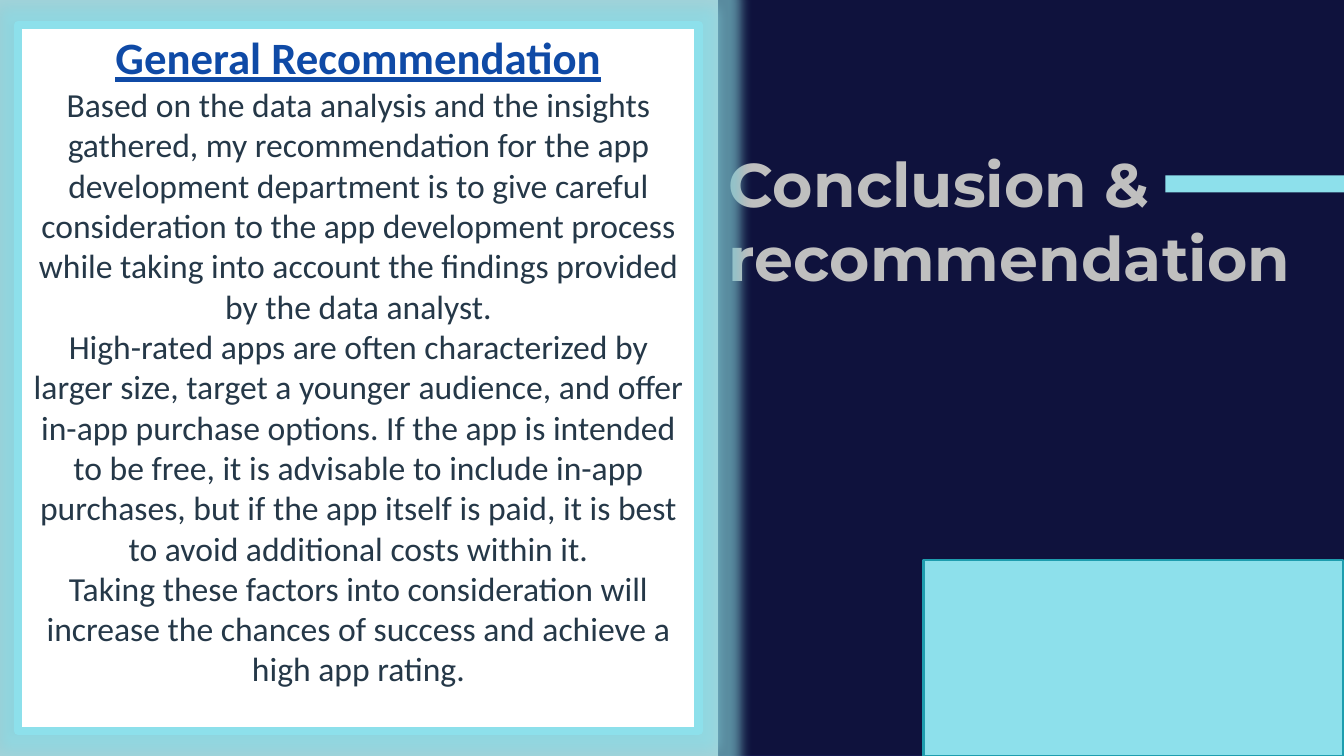
from dataclasses import dataclass

from pptx import Presentation
from pptx.dml.color import RGBColor
from pptx.enum.shapes import MSO_SHAPE
from pptx.enum.text import MSO_ANCHOR, MSO_AUTO_SIZE, PP_ALIGN
from pptx.oxml import parse_xml
from pptx.oxml.ns import nsdecls, qn
from pptx.util import Inches, Pt

RECT = MSO_SHAPE.RECTANGLE
TOP = MSO_ANCHOR.TOP
NO_FIT = MSO_AUTO_SIZE.NONE
LEFT, CENTER = PP_ALIGN.LEFT, PP_ALIGN.CENTER
TITLE_ONLY = 5


@dataclass(frozen=True)
class Theme:
    navy: str = "0F123D"
    navy_edge: str = "13174D"
    aqua: str = "8DE0EB"
    teal: str = "1E9DAE"
    white: str = "FFFFFF"
    black: str = "000000"
    silver: str = "BFBFBF"
    blue: str = "0F4AA6"
    ink: str = "253848"
    title_font: str = "Montserrat"
    body_font: str = "Calibri"
    title_size: int = 44
    head_size: int = 32
    body_size: int = 24


@dataclass(frozen=True)
class Block:
    left: float
    top: float
    width: float
    height: float
    fill: str
    edge: str = ""
    weight: float = 0


THEME = Theme()
PANEL = Block(7.13, 0, 6.21, 7.5, THEME.navy, THEME.navy_edge, 0.75)
CORNER = Block(9.16, 5.56, 4.16, 1.94, THEME.aqua, THEME.teal, 1.5)
BAR = Block(11.56, 1.74, 1.77, 0.17, THEME.aqua)
CARD = Block(0.18, 0.25, 6.75, 7, THEME.white, THEME.aqua, 6)

TITLE = "Conclusion & recommendation"
HEAD = "General Recommendation"
ADVICE = [
    "Based on the data analysis and the insights gathered, my recommendation "
    "for the app development department is to give careful consideration to "
    "the app development process while taking into account the findings "
    "provided by the data analyst.",
    "High-rated apps are often characterized by larger size, target a younger "
    "audience, and offer in-app purchase options. If the app is intended to be "
    "free, it is advisable to include in-app purchases, but if the app itself "
    "is paid, it is best to avoid additional costs within it.\n"
    "Taking these factors into consideration will increase the chances of "
    "success and achieve a high app rating.",
]


def add_block(slide, block: Block):
    shape = slide.shapes.add_shape(
        RECT, Inches(block.left), Inches(block.top),
        Inches(block.width), Inches(block.height))
    shape.shadow.inherit = False
    shape.fill.solid()
    shape.fill.fore_color.rgb = RGBColor.from_string(block.fill)
    if block.edge:
        shape.line.color.rgb = RGBColor.from_string(block.edge)
        shape.line.width = Pt(block.weight)
    else:
        shape.line.fill.background()
    return shape


def style(para, font: str, size: int, color: str, align,
          bold: bool = False, under: bool = False) -> None:
    para.alignment = align
    for run in para.runs:
        run.font.name = font
        run.font.size = Pt(size)
        run.font.color.rgb = RGBColor.from_string(color)
        run.font.bold = bold
        run.font.underline = under


def set_frame(frame) -> None:
    frame.word_wrap = True
    frame.auto_size = NO_FIT
    frame.vertical_anchor = TOP


def add_glow(shape) -> None:
    """Give the shape an aqua glow and a soft shadow to its left."""
    effects = shape.element.spPr.find(qn("a:effectLst"))
    effects.append(parse_xml(
        f'<a:glow {nsdecls("a")} rad="{Pt(18)}"><a:srgbClr val="{THEME.aqua}">'
        '<a:alpha val="60000"/></a:srgbClr></a:glow>'))
    effects.append(parse_xml(
        f'<a:outerShdw {nsdecls("a")} blurRad="{Pt(4)}" dist="{Pt(3)}" '
        f'dir="10800000" rotWithShape="0"><a:srgbClr val="{THEME.black}">'
        '<a:alpha val="40000"/></a:srgbClr></a:outerShdw>'))


def set_title(slide) -> None:
    title = slide.shapes.title
    title.left, title.top = Inches(7.13), Inches(1.4)
    title.width, title.height = Inches(6.21), Inches(1.58)
    frame = title.text_frame
    frame.text = TITLE
    set_frame(frame)
    style(frame.paragraphs[0], THEME.title_font, THEME.title_size,
          THEME.silver, LEFT, bold=True)
    # Bring the title in front of the panel
    title.element.getparent().append(title.element)


def add_card(slide) -> None:
    card = add_block(slide, CARD)
    add_glow(card)
    frame = card.text_frame
    set_frame(frame)
    frame.text = HEAD
    style(frame.paragraphs[0], THEME.body_font, THEME.head_size,
          THEME.blue, CENTER, bold=True, under=True)
    for text in ADVICE:
        para = frame.add_paragraph()
        para.text = text
        style(para, THEME.body_font, THEME.body_size, THEME.ink, CENTER)


def main() -> None:
    deck = Presentation()
    deck.slide_width, deck.slide_height = Inches(13.33), Inches(7.5)
    slide = deck.slides.add_slide(deck.slide_layouts[TITLE_ONLY])
    add_block(slide, PANEL)
    add_block(slide, CORNER)
    set_title(slide)
    add_block(slide, BAR)
    add_card(slide)
    deck.save("out.pptx")


if __name__ == "__main__":
    main()
